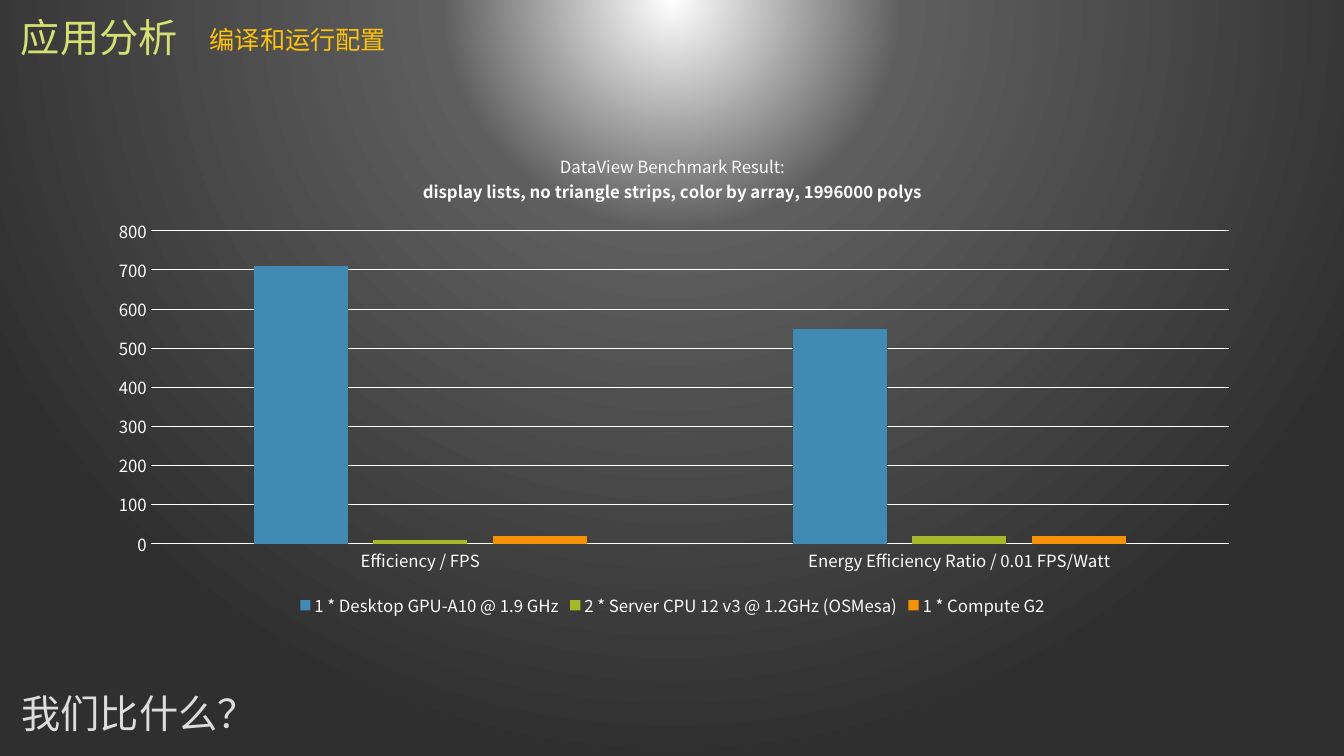
"""Build the application analysis slide with its benchmark chart."""
from lxml import etree
from pptx import Presentation
from pptx.chart.data import CategoryChartData
from pptx.dml.color import RGBColor
from pptx.enum import chart as ch, text as tx
from pptx.oxml import parse_xml
from pptx.oxml.ns import nsdecls, qn
from pptx.util import Inches, Pt

FONT = "Noto Sans CJK SC"
COLORS = {
    "white": "FFFFFF", "mid": "5E5E5E", "dark": "2F2F2F",
    "heading": "D3E171", "section": "FEC306", "question": "DDDDDD",
    "blue": "418AB3", "green": "A6B727", "orange": "F69200",
}


def style(font, size, color, bold=False):
    font.name, font.size, font.bold = FONT, Pt(size), bold
    font.color.rgb = RGBColor.from_string(COLORS[color])


def write(box, place, words, size, color):
    box.left, box.top, box.width, box.height = map(Inches, place)
    frame = box.text_frame
    frame.text = words
    frame.word_wrap = True
    frame.auto_size = tx.MSO_AUTO_SIZE.NONE
    frame.vertical_anchor = tx.MSO_ANCHOR.MIDDLE
    line = frame.paragraphs[0]
    line.alignment = tx.PP_ALIGN.CENTER
    style(line.font, size, color)
    for run in line.runs:
        etree.SubElement(run.font._element, qn("a:ea"), typeface=FONT)
    return frame


prs = Presentation()
prs.slide_width, prs.slide_height = Inches(13.33), Inches(7.5)
slide = prs.slides.add_slide(prs.slide_layouts[5])

slide.background.fill.solid()
backdrop = slide.element.find(".//" + qn("p:bgPr"))
stops = "".join(
    f'<a:gs pos="{percent * 1000}"><a:srgbClr val="{COLORS[name]}"/></a:gs>'
    for percent, name in [(0, "white"), (30, "mid"), (100, "dark")])
backdrop.replace(backdrop[0], parse_xml(
    f'<a:gradFill {nsdecls("a")} rotWithShape="1"><a:gsLst>{stops}</a:gsLst>'
    '<a:path path="circle"><a:fillToRect l="50000" t="-80000" r="50000" b="180000"/>'
    '</a:path></a:gradFill>'))

data = CategoryChartData()
data.categories = ["Efficiency / FPS", "Energy Efficiency Ratio / 0.01 FPS/Watt"]
devices = [
    ("1 * Desktop GPU-A10 @ 1.9 GHz", (710, 550), "blue"),
    ("2 * Server CPU 12 v3 @ 1.2GHz (OSMesa)", (10, 20), "green"),
    ("1 * Compute G2", (20, 20), "orange"),
]
for device, values, _ in devices:
    data.add_series(device, values)
benchmark = slide.shapes.add_chart(
    ch.XL_CHART_TYPE.COLUMN_CLUSTERED, Inches(0.92), Inches(1.32),
    Inches(11.5), Inches(4.85), data).chart
style(benchmark.font, 10, "white")

caption = benchmark.chart_title.text_frame
caption.text = ("DataView Benchmark Result:\n"
                "display lists, no triangle strips, color by array, 1996000 polys")
for line, bold in zip(caption.paragraphs, (False, True)):
    style(line.font, 12, "white", bold)

columns = benchmark.plots[0]
columns.gap_width, columns.overlap = 219, -27
columns.vary_by_categories = False
for series, (_, _, color) in zip(columns.series, devices):
    series.format.fill.solid()
    series.format.fill.fore_color.rgb = RGBColor.from_string(COLORS[color])

categories, scale = benchmark.category_axis, benchmark.value_axis
scale.minimum_scale, scale.maximum_scale, scale.major_unit = 0, 800, 100
scale.has_major_gridlines = True
for axis in (categories, scale):
    axis.major_tick_mark = axis.minor_tick_mark = ch.XL_TICK_MARK.NONE
    style(axis.tick_labels.font, 12, "white")
for rule in (categories.format.line, scale.major_gridlines.format.line):
    rule.color.rgb = RGBColor.from_string(COLORS["white"])
    rule.width = Pt(0.75)
scale.format.line.fill.background()

benchmark.has_legend = True
benchmark.legend.position = ch.XL_LEGEND_POSITION.BOTTOM
benchmark.legend.include_in_layout = False
style(benchmark.legend.font, 12, "white")

plot_area = benchmark.element.find(".//" + qn("c:plotArea"))
for old in plot_area.findall(qn("c:layout")):
    plot_area.remove(old)
plot_area.insert(0, parse_xml(
    f'<c:layout {nsdecls("c")}><c:manualLayout><c:layoutTarget val="inner"/>'
    '<c:xMode val="edge"/><c:yMode val="edge"/><c:x val="0.05"/><c:y val="0.2"/>'
    '<c:w val="0.93"/><c:h val="0.64"/></c:manualLayout></c:layout>'))

heading = write(slide.shapes.title, (0, 0, 1.97, 0.79), "应用分析", 28, "heading")
question = write(slide.shapes.add_textbox(0, 0, 0, 0),
                 (0, 6.71, 2.76, 0.79), "我们比什么？", 28, "question")
for frame in (heading, question):
    frame.paragraphs[0].line_spacing = 0.9
    frame.paragraphs[0].space_before = Pt(10)
section = write(slide.shapes.add_textbox(0, 0, 0, 0),
                (1.97, 0.19, 1.97, 0.4), "编译和运行配置", 18, "section")
section.word_wrap = False

prs.save("out.pptx")
